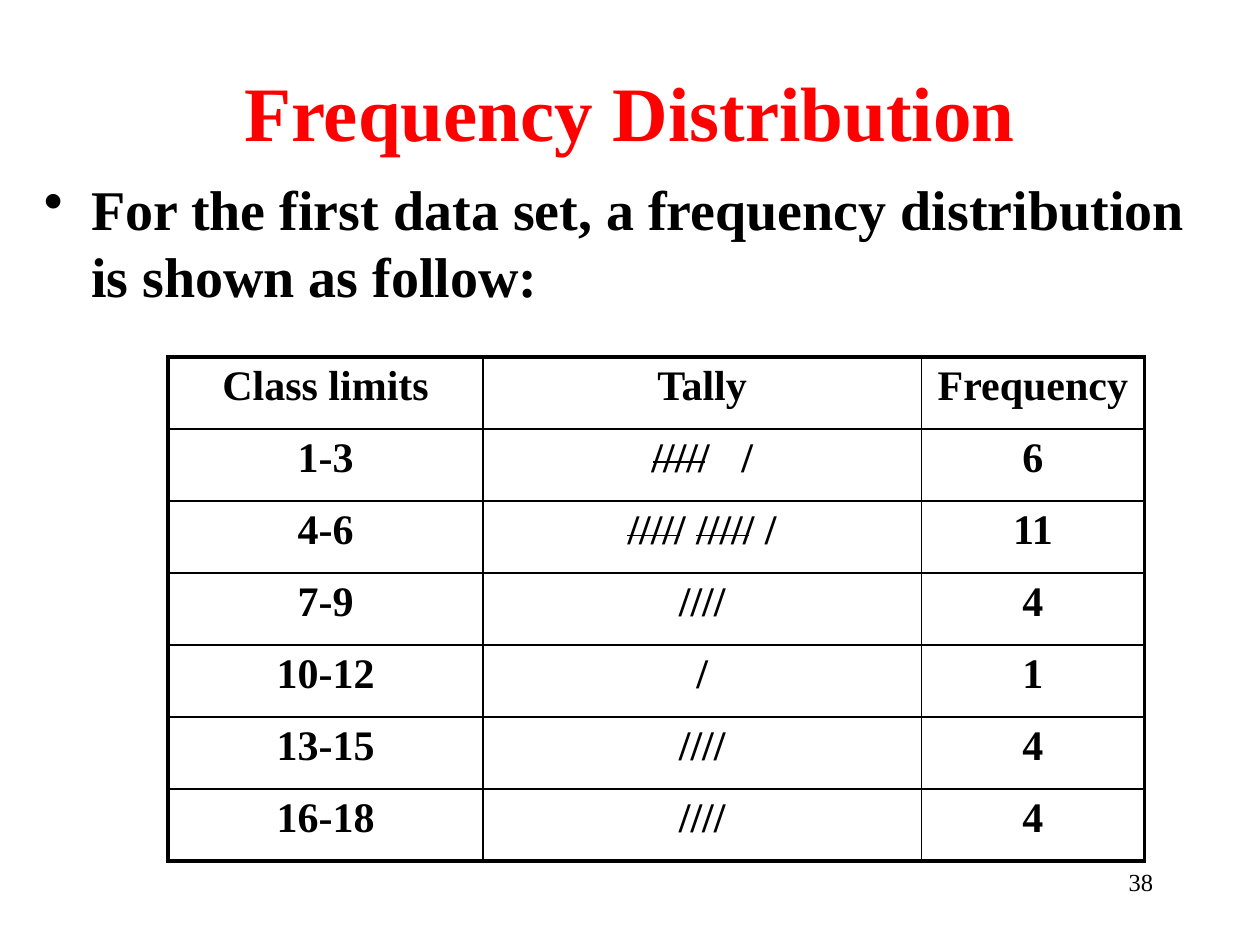
from dataclasses import dataclass

from lxml import etree
from pptx import Presentation
from pptx import util as u
from pptx.dml.color import RGBColor
from pptx.enum import shapes, text
from pptx.oxml import ns


@dataclass(frozen=True)
class Theme:
    font: str = "Times New Roman"
    ink: str = "000000"
    accent: str = "FF0000"
    title_size: float = 44
    body_size: float = 32
    table_size: float = 24
    number_size: float = 14
    thin: float = 1
    thick: float = 2.25
    strike: float = 0.75


class SlideBuilder:
    """Adds themed elements, measured in points, to one slide."""

    def __init__(self, slide, theme):
        self.slide = slide
        self.theme = theme

    def style(self, paragraph, size, align, color=None, bold=True):
        paragraph.alignment = align
        font = paragraph.font
        font.name, font.size, font.bold = self.theme.font, u.Pt(size), bold
        font.color.rgb = RGBColor.from_string(color or self.theme.ink)

    def textbox(self, box, content, size, align, anchor=text.MSO_ANCHOR.TOP, **look):
        frame = self.slide.shapes.add_textbox(*map(u.Pt, box)).text_frame
        frame.word_wrap = True
        frame.vertical_anchor = anchor
        paragraph = frame.paragraphs[0]
        paragraph.text = content
        self.style(paragraph, size, align, **look)
        return paragraph

    def bullet(self, box, content, size, indent, space_before):
        paragraph = self.textbox(box, content, size, text.PP_ALIGN.LEFT)
        paragraph.space_before = u.Pt(space_before)
        properties = paragraph._p.get_or_add_pPr()
        properties.set("marL", str(u.Pt(indent)))
        properties.set("indent", str(-u.Pt(indent)))
        mark = etree.Element(ns.qn("a:buChar"), char="•")
        properties.find(ns.qn("a:defRPr")).addprevious(mark)

    def border(self, cell, side, width):
        properties = cell._tc.get_or_add_tcPr()
        line = etree.SubElement(properties, ns.qn(f"a:ln{side}"), w=str(u.Pt(width)))
        fill = etree.SubElement(line, ns.qn("a:solidFill"))
        etree.SubElement(fill, ns.qn("a:srgbClr"), val=self.theme.ink)

    def table(self, box, rows, widths):
        frame = self.slide.shapes.add_table(len(rows), len(widths), *map(u.Pt, box))
        table = frame.table
        table.first_row = table.horz_banding = False
        for column, width in zip(table.columns, widths):
            column.width = u.Pt(width)
        last_row, last_column = len(rows) - 1, len(widths) - 1
        for r, row in enumerate(rows):
            table.rows[r].height = u.Pt(box[3] / len(rows))
            for c, content in enumerate(row):
                cell = table.cell(r, c)
                paragraph = cell.text_frame.paragraphs[0]
                paragraph.text = content
                self.style(paragraph, self.theme.table_size, text.PP_ALIGN.CENTER)
                outer = {"L": c == 0, "R": c == last_column, "T": r == 0, "B": r == last_row}
                for side, is_outer in outer.items():
                    self.border(cell, side, self.theme.thick if is_outer else self.theme.thin)
                cell.fill.background()
        return table

    def widen_gap(self, paragraph, extra):
        before, after = paragraph.text.split(" ")
        paragraph.clear()
        for part in (before, " ", after):
            run = paragraph.add_run()
            run.text = part
            if part == " ":
                run._r.get_or_add_rPr().set("spc", str(extra * 100))

    def tally_strike(self, x, y, length):
        line = self.slide.shapes.add_connector(
            shapes.MSO_CONNECTOR.STRAIGHT, *map(u.Pt, (x, y, x + length, y)))
        line.line.color.rgb = RGBColor.from_string(self.theme.ink)
        line.line.width = u.Pt(self.theme.strike)
        etree.SubElement(line._element.spPr, ns.qn("a:effectLst"))


def main():
    presentation = Presentation()
    presentation.slide_width, presentation.slide_height = u.Pt(720), u.Pt(540)
    slide = presentation.slides.add_slide(presentation.slide_layouts[6])
    theme = Theme()
    builder = SlideBuilder(slide, theme)

    builder.textbox((54, 18, 612, 90), "Frequency Distribution", theme.title_size,
                    text.PP_ALIGN.CENTER, text.MSO_ANCHOR.MIDDLE, color=theme.accent)
    builder.bullet((18, 96, 678, 408),
                   "For the first data set, a frequency distribution is shown as follow:",
                   theme.body_size, indent=27, space_before=4)
    rows = [
        ("Class limits", "Tally", "Frequency"),
        ("1-3", "///// /", "6"),
        ("4-6", "///// ///// /", "11"),
        ("7-9", "////", "4"),
        ("10-12", "/", "1"),
        ("13-15", "////", "4"),
        ("16-18", "////", "4"),
    ]
    table = builder.table((96, 204, 558, 288), rows, (180, 250.5, 127.5))
    builder.widen_gap(table.cell(1, 1).text_frame.paragraphs[0], extra=12)
    for x, y in ((373, 264), (358.5, 306), (398, 306)):
        builder.tally_strike(x, y, length=30)
    builder.textbox((516, 492, 150, 36), "38", theme.number_size,
                    text.PP_ALIGN.RIGHT, bold=False)
    presentation.save("out.pptx")


if __name__ == "__main__":
    main()
